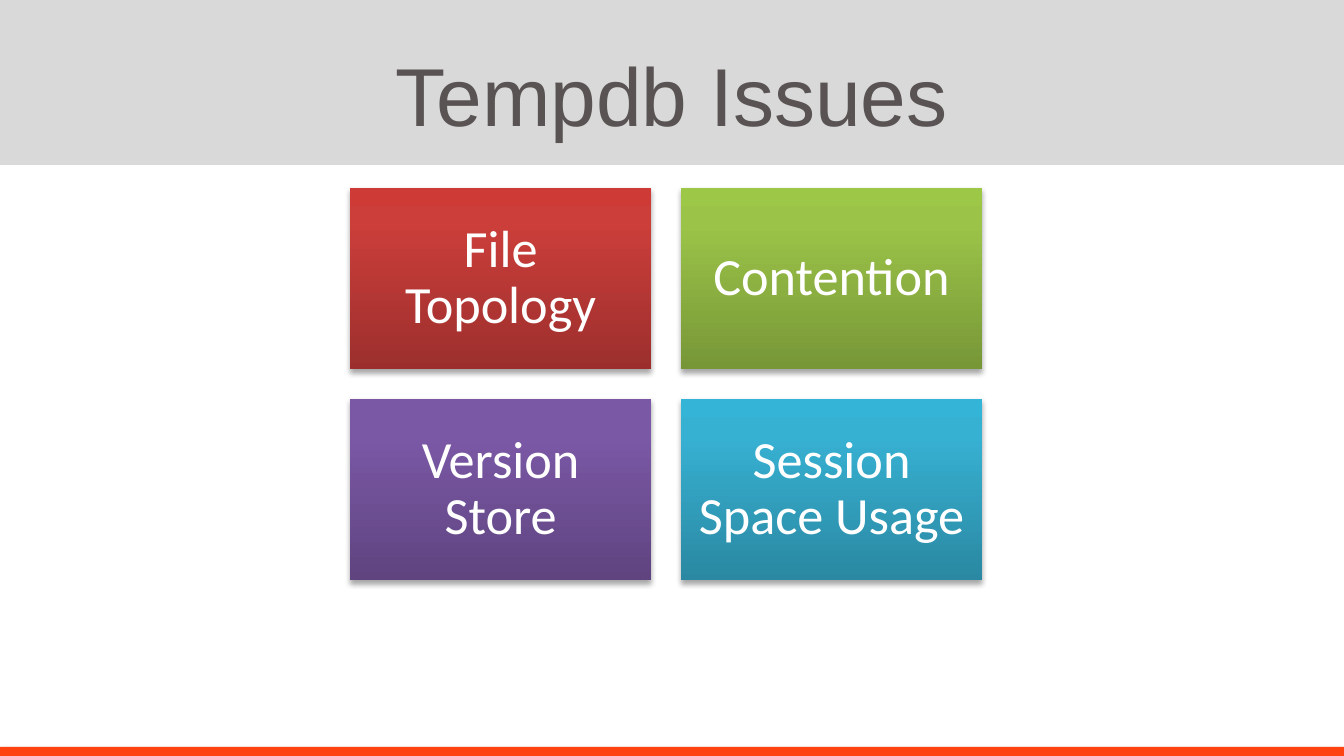
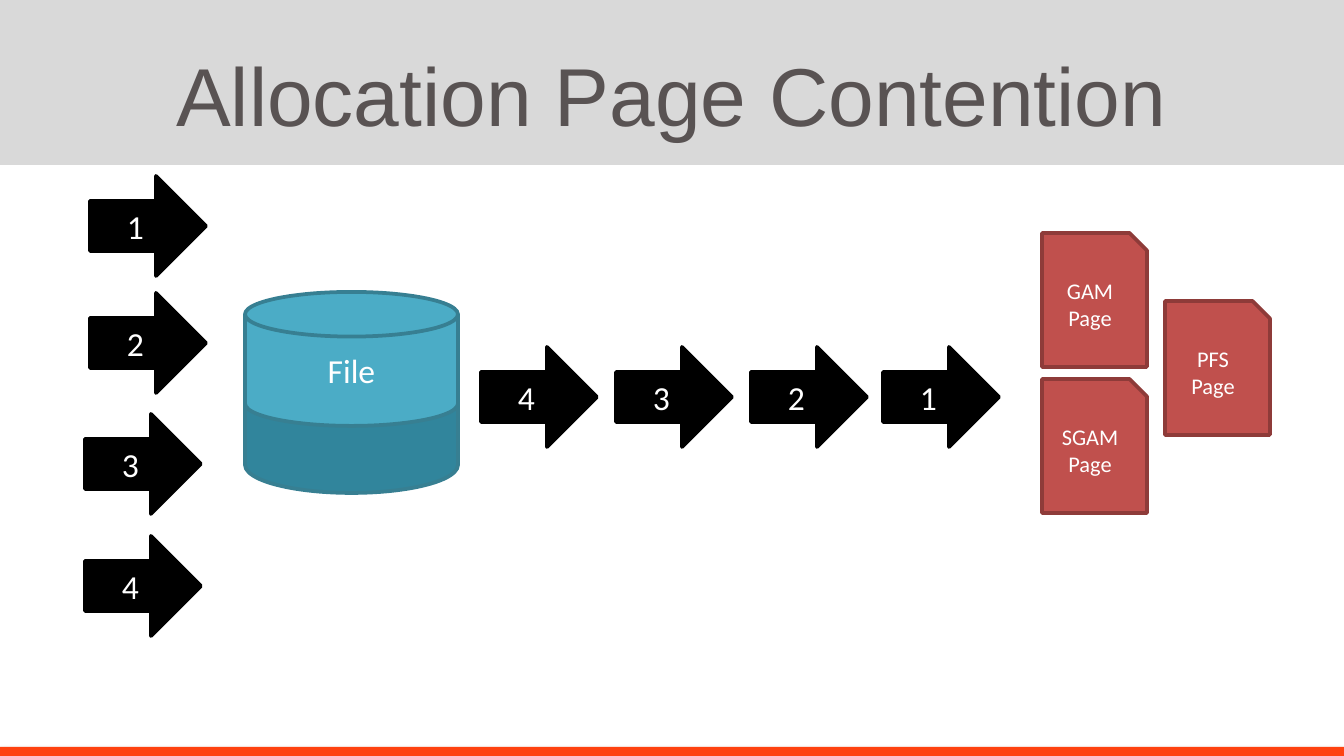
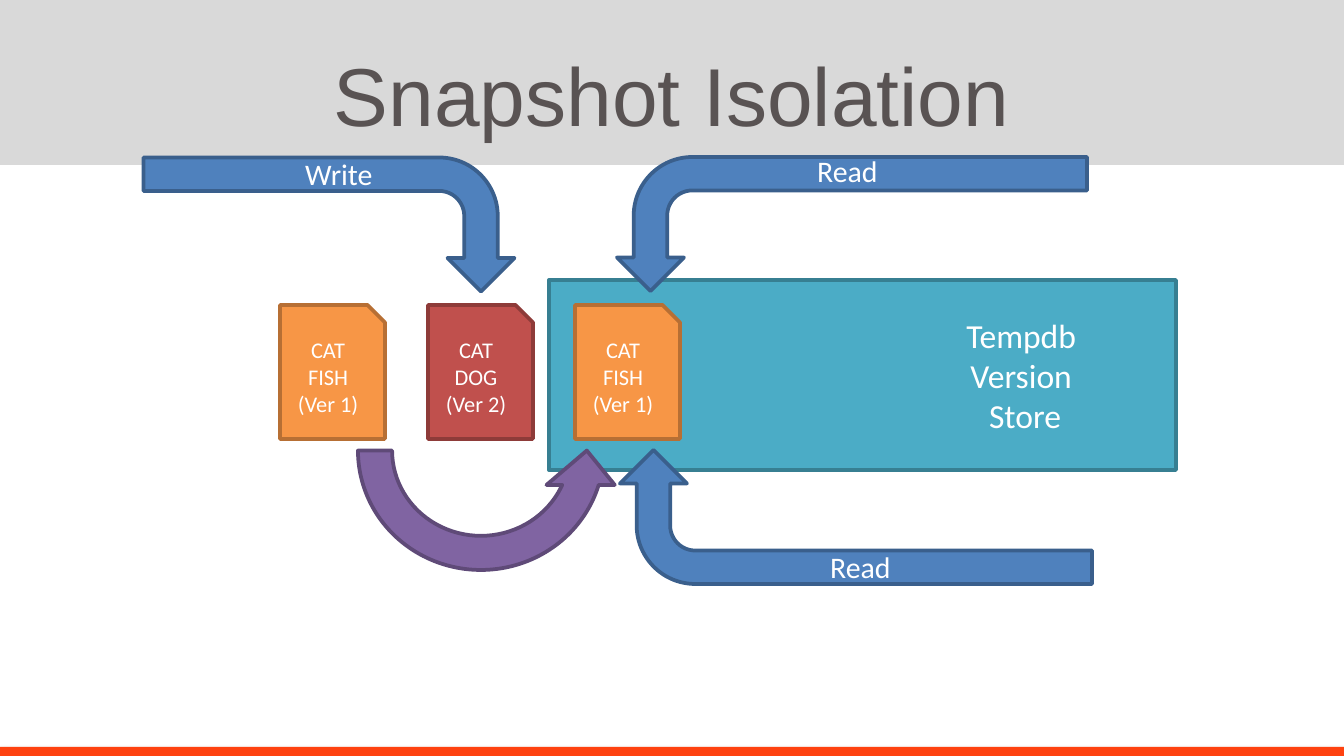
from copy import deepcopy

from pptx import Presentation
from pptx import util as u
from pptx.dml.color import RGBColor
from pptx.enum import shapes, text
from pptx.oxml import parse_xml
from pptx.oxml.ns import nsdecls, qn

PX = 914400 / 134.4
MSO = shapes.MSO_SHAPE
C = {
    "band": "D9D9D9", "footer": "FE4210", "title": "595353", "white": "FFFFFF",
    "black": "000000", "disk": "31859C", "teal": "4BACC6", "teal_line": "377F92",
    "red": "C0504D", "red_line": "8E3B39", "orange": "F79646", "orange_line": "B76F34",
    "blue": "4F81BD", "blue_line": "3A5F8C", "purple": "8064A2", "purple_line": "5F4A78",
}
SHADOW = (
    f'<a:outerShdw {nsdecls("a")} blurRad="39370" dist="22860" dir="5400000" rotWithShape="0">'
    '<a:srgbClr val="000000"><a:alpha val="35000"/></a:srgbClr></a:outerShdw>'
)


def add_shape(s, kind, box, fill, line=None, shadow=False):
    sp = s.shapes.add_shape(kind, *[u.Emu(round(v * PX)) for v in box])
    sp.shadow.inherit = False
    if shadow:
        sp.element.spPr.find(qn("a:effectLst")).append(parse_xml(SHADOW))
    sp.fill.solid()
    sp.fill.fore_color.rgb = RGBColor.from_string(C[fill])
    if line:
        sp.line.color.rgb = RGBColor.from_string(C[line])
        sp.line.width = u.Pt(2)
    else:
        sp.line.fill.background()
    return sp


def write(sp, words, size, font="Calibri", color="white", align=text.PP_ALIGN.CENTER):
    tf = sp.text_frame
    tf.text = words
    for p in tf.paragraphs:
        p.alignment = align
        p.font.size = u.Pt(size)
        p.font.name = font
        p.font.color.rgb = RGBColor.from_string(C[color])
    return tf


prs = Presentation()
prs.slide_width, prs.slide_height = u.Emu(round(1344 * PX)), u.Emu(round(756 * PX))
layout = prs.slide_layouts[5]

slides = []
for title in ("Tempdb Issues", "Allocation Page Contention", "Snapshot Isolation"):
    s = prs.slides.add_slide(layout)
    sp = s.shapes.title
    sp.left, sp.top, sp.width, sp.height = [u.Emu(round(v * PX)) for v in (67, 31, 1210, 126)]
    tf = write(sp, title, 44, "Arial", "title")
    tf.vertical_anchor = text.MSO_ANCHOR.MIDDLE
    slides.append(s)
issues, contention, snapshot = slides

footer = add_shape(issues, MSO.RECTANGLE, (0, 747, 1344, 9), "footer", shadow=True)
band = add_shape(issues, MSO.RECTANGLE, (0, 0, 1344, 165), "band")
for sp in (band, footer):
    layout.shapes.element.insert(2, sp.element)

tiles = [
    ("File Topology", ("9C2F2D", "CB3E3A", "CE3B37")),
    ("Contention", ("779737", "9BC348", "9DC746")),
    ("Version Store", ("5F4480", "7B58A6", "7C57A8")),
    ("Session Space Usage", ("2A88A2", "37B1D2", "34B4D6")),
]
for i, (words, colors) in enumerate(tiles):
    box = (350 + i % 2 * 331, 188 + i // 2 * 211, 301, 181)
    sp = add_shape(issues, MSO.RECTANGLE, box, "white", shadow=True)
    sp.fill.gradient()
    sp.fill.gradient_angle = 90
    stops = sp.element.spPr.find(".//" + qn("a:gsLst"))
    stops.append(deepcopy(stops[0]))
    for stop, position, color in zip(sp.fill.gradient_stops, (0, 0.8, 1), colors):
        stop.position = position
        stop.color.rgb = RGBColor.from_string(color)
    tf = write(sp, words, 28)
    tf.margin_left = tf.margin_right = tf.margin_top = tf.margin_bottom = u.Emu(round(16 * PX))
    tf.paragraphs[0].line_spacing = 0.9

add_shape(contention, MSO.FLOWCHART_MAGNETIC_DISK, (245, 325, 213, 168), "disk", "teal_line")
sp = add_shape(contention, MSO.FLOWCHART_MAGNETIC_DISK, (245, 292, 213, 134), "teal", "teal_line")
write(sp, "File", 18)

requests = [
    ("1", 90, 176), ("2", 90, 293), ("3", 85, 414), ("4", 85, 536),
    ("4", 481, 347), ("3", 616, 347), ("2", 751, 347), ("1", 883, 347),
]
for words, x, y in requests:
    sp = add_shape(contention, MSO.RIGHT_ARROW, (x, y, 116, 100), "black", "black")
    write(sp, words, 18)

add_shape(snapshot, MSO.RECTANGLE, (549, 280, 627, 190), "teal", "teal_line")

bends = [
    ((262, 39, 134, 371), 90, False),
    ((785, -11, 134, 470), 90, True),
    ((789, 281, 134, 472), 270, False),
]
for box, angle, flip in bends:
    sp = add_shape(snapshot, MSO.BENT_ARROW, box, "blue", "blue_line")
    sp.rotation = angle
    if flip:
        sp.element.spPr.find(qn("a:xfrm")).set("flipV", "1")

pages = [
    (contention, "GAM\nPage", 1042, 233, "red"),
    (contention, "SGAM\nPage", 1042, 379, "red"),
    (contention, "PFS\nPage", 1165, 301, "red"),
    (snapshot, "CAT\nFISH\n(Ver 1)", 280, 305, "orange"),
    (snapshot, "CAT\vDOG\n(Ver 2)", 428, 305, "red"),
    (snapshot, "CAT\nFISH\n(Ver 1)", 575, 305, "orange"),
]
for s, words, x, y, color in pages:
    sp = add_shape(s, MSO.SNIP_1_RECTANGLE, (x, y, 105, 134), color, color + "_line")
    write(sp, words, 12)

sp = add_shape(snapshot, MSO.CIRCULAR_ARROW, (341, 314, 280, 273), "purple", "purple_line")
sp.rotation = 180
sp.element.spPr.find(qn("a:xfrm")).set("flipH", "1")

labels = [
    ("Write", (292, 149, 95, 50), 16, text.PP_ALIGN.LEFT),
    ("Read", (804, 146, 89, 50), 16, text.PP_ALIGN.LEFT),
    ("Read", (817, 542, 89, 50), 16, text.PP_ALIGN.LEFT),
    ("Tempdb \nVersion \nStore", (952, 308, 146, 136), 18, text.PP_ALIGN.CENTER),
]
for words, box, size, align in labels:
    sp = snapshot.shapes.add_textbox(*[u.Emu(round(v * PX)) for v in box])
    tf = write(sp, words, size, align=align)
    tf.word_wrap = False
    tf.auto_size = text.MSO_AUTO_SIZE.SHAPE_TO_FIT_TEXT

prs.save("out.pptx")
